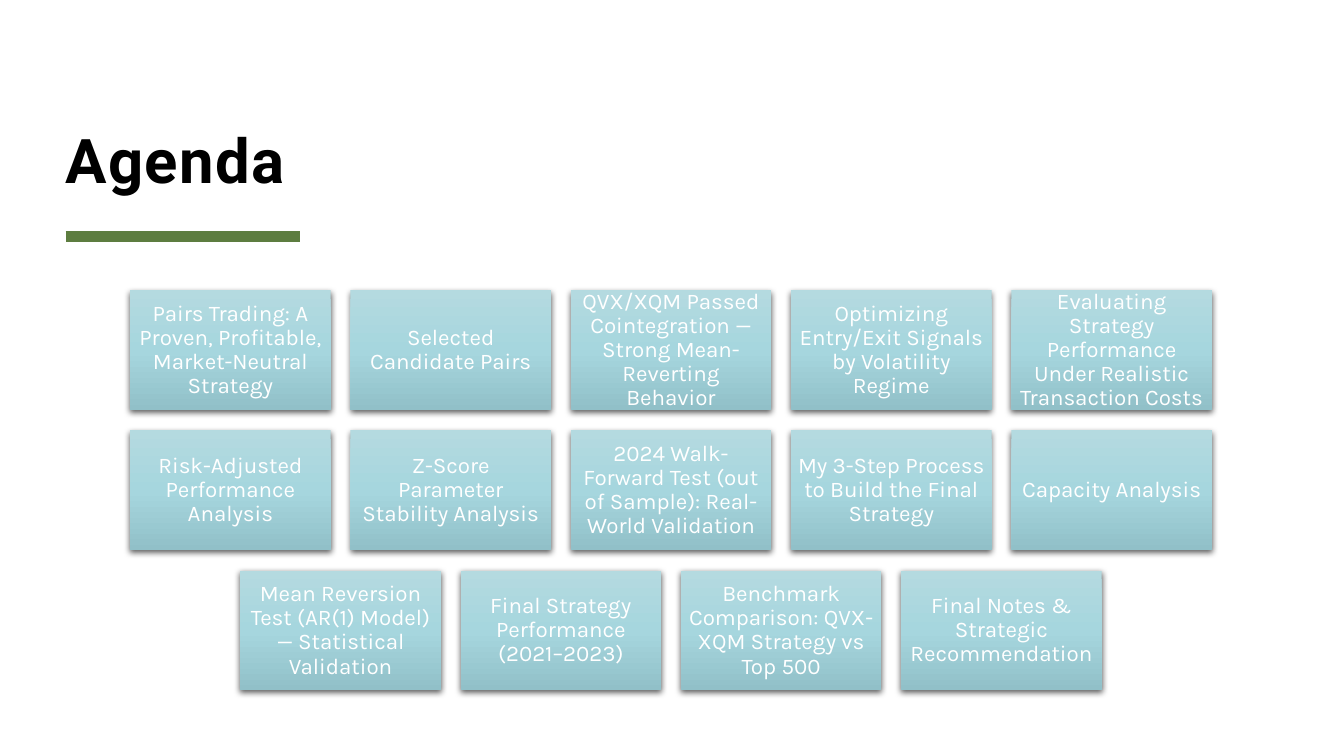
from dataclasses import dataclass

from lxml import etree
from pptx import Presentation
from pptx.dml.color import RGBColor
from pptx.enum.shapes import MSO_CONNECTOR, MSO_SHAPE
from pptx.enum.text import MSO_ANCHOR, PP_ALIGN
from pptx.oxml import parse_xml
from pptx.oxml.ns import nsdecls, qn
from pptx.util import Inches, Pt

RECTANGLE = MSO_SHAPE.RECTANGLE
STRAIGHT = MSO_CONNECTOR.STRAIGHT
MIDDLE, BOTTOM = MSO_ANCHOR.MIDDLE, MSO_ANCHOR.BOTTOM
LEFT, CENTER = PP_ALIGN.LEFT, PP_ALIGN.CENTER

SLIDE_WIDTH, SLIDE_HEIGHT = 13.33, 7.5
CARD_WIDTH, CARD_HEIGHT = 1.99, 1.19
COLUMN_STEP, ROW_STEP = 2.185, 1.39
GRID_LEFT, GRID_TOP, GRID_COLUMNS = 1.29, 2.88, 5

AGENDA_ROWS = [
    [
        "Pairs Trading: A Proven, Profitable, Market-Neutral Strategy",
        "Selected Candidate Pairs",
        "QVX/XQM Passed Cointegration — Strong Mean-Reverting Behavior",
        "Optimizing Entry/Exit Signals by Volatility Regime",
        "Evaluating Strategy Performance Under Realistic Transaction Costs",
    ],
    [
        "Risk-Adjusted Performance Analysis",
        "Z-Score Parameter Stability Analysis",
        "2024 Walk-Forward Test (out of Sample): Real-World Validation",
        "My 3-Step Process to Build the Final Strategy",
        "Capacity Analysis",
    ],
    [
        "Mean Reversion Test (AR(1) Model) — Statistical Validation",
        "Final Strategy Performance (2021–2023)",
        "Benchmark Comparison: QVX-XQM Strategy vs Top 500",
        "Final Notes & Strategic Recommendation",
    ],
]


@dataclass(frozen=True)
class Theme:
    title_font: str = "Roboto"
    body_font: str = "Karla"
    title_size: int = 44
    body_size: int = 16
    title_color: str = "000000"
    body_color: str = "FFFFFF"
    accent: str = "5D7D40"
    shadow: str = "000000"
    card_gradient: tuple = ((0, "B4DAE0"), (50, "A6D6DE"), (100, "91C0C8"))


def set_attributes(target, values):
    for name, value in values.items():
        setattr(target, name, value)


class AgendaSlide:
    def __init__(self, presentation, theme):
        self.theme = theme
        self.slide = presentation.slides.add_slide(presentation.slide_layouts[6])

    def add_text(self, shape, text, inset, anchor, paragraph_format, font_format, color):
        frame = shape.text_frame
        margins = ("margin_left", "margin_top", "margin_right", "margin_bottom")
        set_attributes(frame, dict.fromkeys(margins, Inches(inset)))
        set_attributes(frame, {"word_wrap": True, "vertical_anchor": anchor})
        paragraph = frame.paragraphs[0]
        set_attributes(paragraph, paragraph_format)
        run = paragraph.add_run()
        run.text = text
        set_attributes(run.font, font_format)
        run.font.color.rgb = RGBColor.from_string(color)
        return run

    def title(self, text, left, top, width, height):
        theme = self.theme
        box = self.slide.shapes.add_textbox(
            Inches(left), Inches(top), Inches(width), Inches(height))
        run = self.add_text(
            box, text, 0, BOTTOM,
            {"alignment": LEFT, "line_spacing": 0.8},
            {"name": theme.title_font, "size": Pt(theme.title_size), "bold": True},
            theme.title_color)
        run._r.get_or_add_rPr().set("spc", "100")

    def rule(self, left, right, top):
        line = self.slide.shapes.add_connector(
            STRAIGHT, Inches(left), Inches(top), Inches(right), Inches(top))
        line.line.width = Pt(8)
        line.line.color.rgb = RGBColor.from_string(self.theme.accent)
        etree.SubElement(line._element.spPr, qn("a:effectLst"))

    def card(self, text, left, top):
        theme = self.theme
        card = self.slide.shapes.add_shape(
            RECTANGLE, Inches(left), Inches(top),
            Inches(CARD_WIDTH), Inches(CARD_HEIGHT))
        card.line.fill.background()
        self.shade(card)
        self.add_text(
            card, text, 0.07, MIDDLE,
            {"alignment": CENTER, "line_spacing": 0.9},
            {"name": theme.body_font, "size": Pt(theme.body_size), "bold": False},
            theme.body_color)

    def shade(self, card):
        """Give a card its three-stop vertical gradient and soft drop shadow."""
        stops = "".join(
            f'<a:gs pos="{position * 1000}"><a:srgbClr val="{color}"/></a:gs>'
            for position, color in self.theme.card_gradient)
        gradient = parse_xml(
            f'<a:gradFill {nsdecls("a")} rotWithShape="1"><a:gsLst>{stops}</a:gsLst>'
            '<a:lin ang="5400000" scaled="0"/></a:gradFill>')
        shadow = parse_xml(
            f'<a:effectLst {nsdecls("a")}><a:outerShdw blurRad="{Pt(4.5)}" '
            f'dist="{Pt(1.5)}" dir="5400000" algn="ctr" rotWithShape="0">'
            f'<a:srgbClr val="{self.theme.shadow}"><a:alpha val="63000"/></a:srgbClr>'
            '</a:outerShdw></a:effectLst>')
        properties = card._element.spPr
        properties.find(qn("a:prstGeom")).addnext(gradient)
        properties.append(shadow)

    def card_grid(self, rows):
        """Lay out the rows of cards, centring any row that is not full."""
        for row, texts in enumerate(rows):
            indent = (GRID_COLUMNS - len(texts)) * COLUMN_STEP / 2
            for column, text in enumerate(texts):
                self.card(text, GRID_LEFT + indent + column * COLUMN_STEP,
                          GRID_TOP + row * ROW_STEP)


def main():
    presentation = Presentation()
    set_attributes(presentation, {
        "slide_width": Inches(SLIDE_WIDTH), "slide_height": Inches(SLIDE_HEIGHT)})
    agenda = AgendaSlide(presentation, Theme())
    agenda.rule(0.65, 2.98, 2.35)
    agenda.title("Agenda", 0.65, 0.22, 12, 1.72)
    agenda.card_grid(AGENDA_ROWS)
    presentation.save("out.pptx")


if __name__ == "__main__":
    main()
